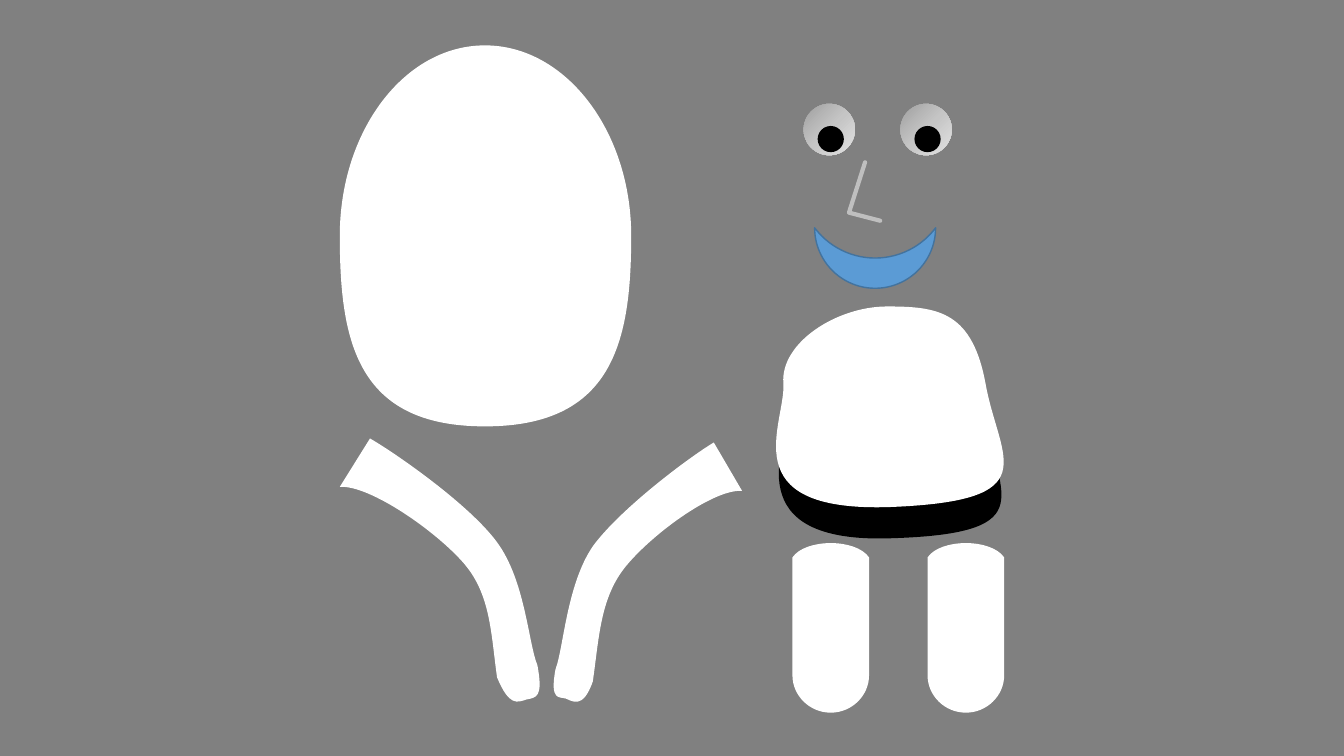
from copy import deepcopy

from lxml.etree import SubElement
from pptx import Presentation
from pptx.dml.color import RGBColor
from pptx.enum.shapes import MSO_SHAPE
from pptx.oxml.ns import qn
from pptx.util import Inches, Pt

OVAL, MOON = MSO_SHAPE.OVAL, MSO_SHAPE.MOON
COLUMNS, ROWS = 1333, 750
CELL = Inches(0.01)  # one column or row of the slide grid
COLORS = {
    "backdrop": "808080", "body": "FFFFFF", "dark": "000000",
    "mouth": "5B9BD5", "mouth_edge": "43739E", "nose": "BFBFBF",
}
EYE_STOPS = {0: "A0A0A0", 0.5: "C5C5C5", 1: "E3E3E3"}

# Outlines in grid cells from the box corner: a start point, then
# line ends (x, y) or curves (control 1, control 2, end)
LEG = [(0, 14), (13, -5, 63, -5, 76, 14), (76, 131), (76, 151, 59, 168, 38, 168),
       (38, 168), (17, 168, 0, 151, 0, 131), (0, 14)]
BELT = [(210, 3), (210, 76, 270, 118, 113, 123), (-44, 129, 9, 29, 9, 0)]
TORSO = [(208, 79), (222, 153, 269, 193, 112, 199), (-46, 204, 10, 115, 7, 76),
         (4, 36, 60, 0, 110, 0), (161, 0, 195, 5, 208, 79)]
HEAD = [(0, 189), (0, 85, 64, 0, 144, 0), (224, 0, 289, 85, 289, 189),
        (289, 294, 271, 378, 144, 378), (17, 378, 0, 294, 0, 189)]
LEFT_ARM = [(30, 0), (56, 15, 129, 66, 156, 103), (184, 141, 187, 203, 196, 225),
            (202, 257, 195, 257, 185, 259), (176, 262, 168, 266, 156, 237),
            (150, 195, 150, 156, 124, 125), (97, 93, 30, 46, 0, 48), (30, 0)]
RIGHT_ARM = [(159, 0), (134, 15, 66, 66, 39, 103), (13, 141, 10, 204, 2, 225),
             (-4, 257, 6, 252, 12, 254), (18, 256, 29, 266, 39, 237),
             (45, 196, 46, 156, 70, 125), (95, 93, 158, 46, 187, 48), (159, 0)]
NOSE = [(16, 0), (0, 50), (31, 58)]


def rgb(color):
    return RGBColor.from_string(COLORS[color])


def paint(part, fill=None, edge=None, width=1):
    part.shadow.inherit = False
    for paint_format, color in {part.fill: fill, part.line.fill: edge}.items():
        if color:
            paint_format.solid()
            paint_format.fore_color.rgb = rgb(color)
        else:
            paint_format.background()
    if edge:
        part.line.width = Pt(width)
    return part


def add_outline(shapes, box, outline, close=True, **formats):
    left, top, width, height = box
    right, bottom = left + width, top + height
    builder = shapes.build_freeform(left, top, scale=CELL)
    builder.add_line_segments([(right, top), (right, bottom), (left, bottom)])
    part = builder.convert_to_shape()
    # Trace the true curves inside the box
    path = next(part.element.iter(qn("a:path")))
    for command in list(path):
        path.remove(command)
    for index, segment in enumerate(outline):
        tag = "a:cubicBezTo" if len(segment) == 6 else "a:lnTo"
        command = SubElement(path, qn(tag if index else "a:moveTo"))
        for x, y in zip(segment[::2], segment[1::2]):
            SubElement(command, qn("a:pt"), x=str(x), y=str(y))
    if close:
        SubElement(path, qn("a:close"))
    return paint(part, **formats)


def add_preset(shapes, preset, box, **formats):
    return paint(shapes.add_shape(preset, *(side * CELL for side in box)), **formats)


def add_legs(shapes, left, top, spacing=134):
    for leg in range(2):
        add_outline(shapes, (left + leg * spacing, top, 76, 169), LEG, fill="body")


def add_trunk(shapes, left, top):
    trunk = shapes.add_group_shape().shapes
    add_outline(trunk, (left + 2, top + 107, 221, 123), BELT, close=False, fill="dark")
    add_outline(trunk, (left, top, 226, 199), TORSO, fill="body")


def add_eye(shapes, left, top):
    eyeball = add_preset(shapes, OVAL, (left, top, 51, 51))
    eyeball.fill.gradient()
    eyeball.fill.gradient_angle = 315
    stop_list = eyeball.element.spPr.find(qn("a:gradFill")).find(qn("a:gsLst"))
    stop_list.append(deepcopy(stop_list[0]))
    for stop, (position, shade) in zip(eyeball.fill.gradient_stops, EYE_STOPS.items()):
        stop.position = position
        stop.color.rgb = RGBColor.from_string(shade)
    add_preset(shapes, OVAL, (left + 14, top + 22, 26, 26), fill="dark")


def add_face(shapes, left, top, eye_spacing=96):
    face = shapes.add_group_shape().shapes
    for eye in range(2):
        add_eye(face, left + eye * eye_spacing, top)
    mouth = add_preset(face, MOON, (left + 41, top + 93, 60, 120),
                       fill="mouth", edge="mouth_edge")
    mouth.rotation = 270
    nose = add_outline(face, (left + 45, top + 58, 31, 58), NOSE, close=False,
                       edge="nose", width=3)
    # Rounded ends and corner
    stroke = nose.element.spPr.find(qn("a:ln"))
    stroke.set("cap", "rnd")
    SubElement(stroke, qn("a:round"))


def add_figure_parts(slide):
    shapes = slide.shapes
    add_legs(shapes, 786, 539)
    add_trunk(shapes, 770, 304)
    add_outline(shapes, (337, 45, 289, 378), HEAD, fill="body")
    add_outline(shapes, (337, 435, 198, 261), LEFT_ARM, fill="body")
    add_outline(shapes, (549, 439, 187, 257), RIGHT_ARM, fill="body")
    add_face(shapes, 797, 103)


def main():
    deck = Presentation()
    deck.slide_width, deck.slide_height = COLUMNS * CELL, ROWS * CELL
    slide = deck.slides.add_slide(deck.slide_layouts[6])
    backdrop = slide.background.fill
    backdrop.solid()
    backdrop.fore_color.rgb = rgb("backdrop")
    add_figure_parts(slide)
    deck.save("out.pptx")


if __name__ == "__main__":
    main()
